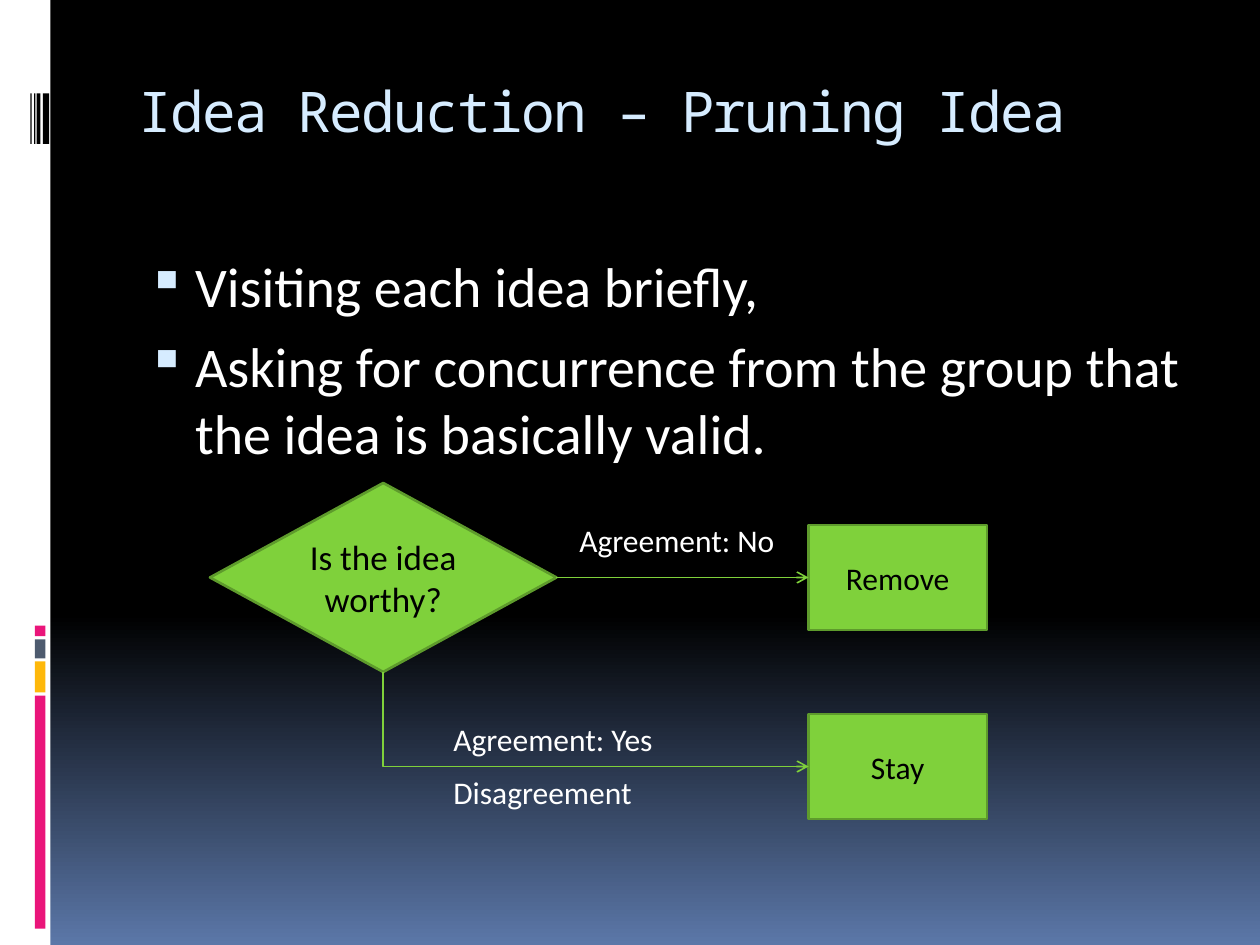
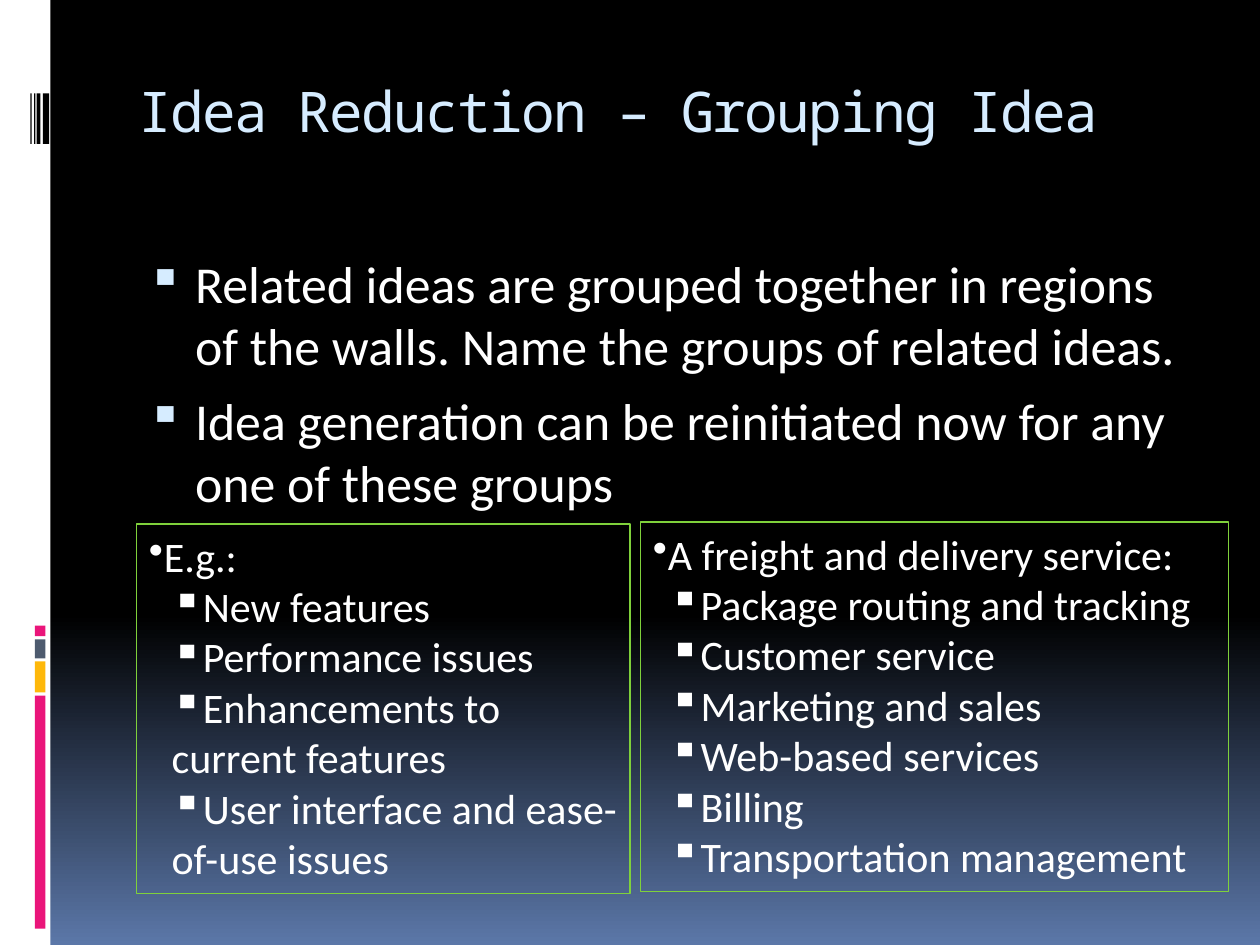
from lxml import etree
from pptx import Presentation
from pptx.dml.color import RGBColor
from pptx.enum.shapes import MSO_CONNECTOR, MSO_SHAPE
from pptx.enum.text import MSO_ANCHOR, PP_ALIGN
from pptx.oxml.ns import qn
from pptx.util import Inches, Pt

RECTANGLE, DIAMOND = MSO_SHAPE.RECTANGLE, MSO_SHAPE.DIAMOND
STRAIGHT, ELBOW = MSO_CONNECTOR.STRAIGHT, MSO_CONNECTOR.ELBOW
TOP, MIDDLE = MSO_ANCHOR.TOP, MSO_ANCHOR.MIDDLE
LEFT, CENTER = PP_ALIGN.LEFT, PP_ALIGN.CENTER

BLACK, WHITE, PALE, SKY = "000000", "FFFFFF", "D6ECFF", "5B77A8"
PINK, AMBER, SLATE = "EA157A", "FEB80A", "4E5B6F"
GREEN, DARK_GREEN = "7FD13B", "5E9B2C"
BODY_FONT, TITLE_FONT = "Calibri", "Noto Sans Mono"
SQUARE, DOT = "\u25aa", "\u2022"

# The grid has 120 columns and 90 rows, each a twelfth of an inch.
CELL = Inches(1) / 12
COLUMNS, ROWS = 120, 90


def color(code):
    """Turn a hex string into a colour."""
    return RGBColor.from_string(code)


def block(page, place, lines=(), kind=None, fill=None, line=None, weight=1.5,
          size=18, ink=WHITE, font=BODY_FONT, align=LEFT, anchor=TOP,
          wrap=True, before=0, bullet_color=None):
    """Add a shape, or a text box when kind is None, at a place on the grid.

    Each line is a text, or (text, bullet, left margin, first-line indent).
    """
    frame = [round(cells * CELL) for cells in place]
    if kind is None:
        box = page.shapes.add_textbox(*frame)
    else:
        box = page.shapes.add_shape(kind, *frame)
        box.shadow.inherit = False
        if fill:
            box.fill.solid()
            box.fill.fore_color.rgb = color(fill)
        else:
            box.fill.background()
        if line:
            box.line.color.rgb = color(line)
            box.line.width = Pt(weight)
        else:
            box.line.fill.background()

    text_frame = box.text_frame
    text_frame.word_wrap = wrap
    text_frame.vertical_anchor = anchor
    for number, entry in enumerate(lines):
        text, bullet, margin, indent = (
            (entry, None, 0, 0) if isinstance(entry, str) else entry)
        para = text_frame.add_paragraph() if number else text_frame.paragraphs[0]
        para.text = text
        para.alignment = align
        para.space_before = Pt(before)
        for span in para.runs:
            span.font.size = Pt(size)
            span.font.name = font
            span.font.color.rgb = color(ink)
        if bullet:
            props = para._p.get_or_add_pPr()
            props.set("marL", str(Inches(margin)))
            props.set("indent", str(Inches(indent)))
            if bullet_color:
                tint = etree.SubElement(props, qn("a:buClr"))
                etree.SubElement(tint, qn("a:srgbClr"), val=bullet_color)
                etree.SubElement(props, qn("a:buSzPct"), val="95000")
            etree.SubElement(props, qn("a:buChar"), char=bullet)
    return box


deck = Presentation()
deck.slide_width = round(COLUMNS * CELL)
deck.slide_height = round(ROWS * CELL)

# What the slides share: background, side band, title and body text
SIDE_BAND = [
    ((0, 0, 4.8, ROWS), WHITE),
    ((3.32, 66.25, 1, 22.2), PINK),
    ((3.32, 63, 1, 2.95), AMBER),
    ((3.32, 60.9, 1, 1.8), SLATE),
    ((3.32, 59.6, 1, 1), PINK),
]
SIDE_BAND += [((left, 8.9, width, 4.8), BLACK)
              for left, width in [(4.08, 0.6), (3.5, 0.36), (3.25, 0.12), (2.9, 0.12)]]

CONTENT = [
    ("Idea Reduction \u2013 Pruning Idea", 32, 60, [
        "Visiting each idea briefly,",
        "Asking for concurrence from the group that the idea is basically valid.",
    ]),
    ("Idea Reduction \u2013 Grouping Idea", 29.6, 26.6, [
        "Related ideas are grouped together in regions of the walls. "
        "Name the groups of related ideas.",
        "Idea generation can be reinitiated now for any one of these groups",
    ]),
]

pages = []
for heading, body_size, body_rows, points in CONTENT:
    page = deck.slides.add_slide(deck.slide_layouts[6])
    pages.append(page)
    backdrop = page.background.fill
    backdrop.gradient()
    backdrop.gradient_angle = 270
    for stop, position, shade in zip(backdrop.gradient_stops, (0.65, 1), (BLACK, SKY)):
        stop.position = position
        stop.color.rgb = color(shade)
    for place, shade in SIDE_BAND:
        block(page, place, kind=RECTANGLE, fill=shade)
    block(page, (12, 23.4, 102, body_rows),
          [(point, SQUARE, 0.45, -0.38) for point in points],
          size=body_size, before=7, bullet_color=PALE)
    title = block(page, (12, 6.7, 102, 12), [heading], size=32, ink=PALE, font=TITLE_FONT)
    title.text_frame.paragraphs[0].runs[0].font._element.set("spc", "-100")

pruning, grouping = pages

# Pruning: a decision and its two outcomes
node_style = dict(fill=GREEN, line=DARK_GREEN, ink=BLACK, align=CENTER, anchor=MIDDLE)
decision = block(pruning, (20, 46, 33, 18), ["Is the idea worthy?"],
                 kind=DIAMOND, size=20, **node_style)
remove, stay = [block(pruning, (77, top, 17, 10), [text], kind=RECTANGLE, **node_style)
                for text, top in [("Remove", 50), ("Stay", 68)]]

# Connection sites run anticlockwise from the top: 1 left, 2 bottom, 3 right.
for kind, site, outcome in [(STRAIGHT, 3, remove), (ELBOW, 2, stay)]:
    arrow = pruning.shapes.add_connector(kind, 0, 0, 0, 0)
    arrow.begin_connect(decision, site)
    arrow.end_connect(outcome, 1)
    arrow.line.color.rgb = color(GREEN)
    arrow.line.width = Pt(0.94)
    etree.SubElement(arrow.line._get_or_add_ln(), qn("a:tailEnd"), type="arrow")
    props = arrow._element.spPr
    etree.SubElement(props, qn("a:effectLst"))
    if kind == ELBOW:
        # One bend, down then right: a quarter turn and a flip about the centre
        props.find(qn("a:prstGeom")).set("prst", "bentConnector2")
        across, down = arrow.width, arrow.height
        arrow.left += (across - down) // 2
        arrow.top += (down - across) // 2
        arrow.width, arrow.height = down, across
        turn = props.find(qn("a:xfrm"))
        turn.set("rot", "16200000")
        turn.set("flipH", "1")

for text, left, top, width in [("Agreement: No", 54, 49, 21.7),
                               ("Agreement: Yes", 42, 68, 22),
                               ("Disagreement", 42, 73, 20.2)]:
    block(pruning, (left, top, width, 4.8), [text], wrap=False)

# Grouping: two outlined lists of example groups
EXAMPLES = [
    ((13, 49.9, 47, 35.2), 0.18, "E.g.:", [
        "New features", "Performance issues", "Enhancements to current features",
        "User interface and ease-of-use issues"]),
    ((61, 49.7, 56, 35.2), 0.13, "A freight and delivery service:", [
        "Package routing and tracking", "Customer service", "Marketing and sales",
        "Web-based services", "Billing", "Transportation management"]),
]
for place, margin, lead, items in EXAMPLES:
    block(grouping, place,
          [(lead, DOT, 0, 0)] + [(item, SQUARE, margin, 0) for item in items],
          kind=RECTANGLE, line=GREEN, weight=0.75, size=24)

deck.save("out.pptx")
